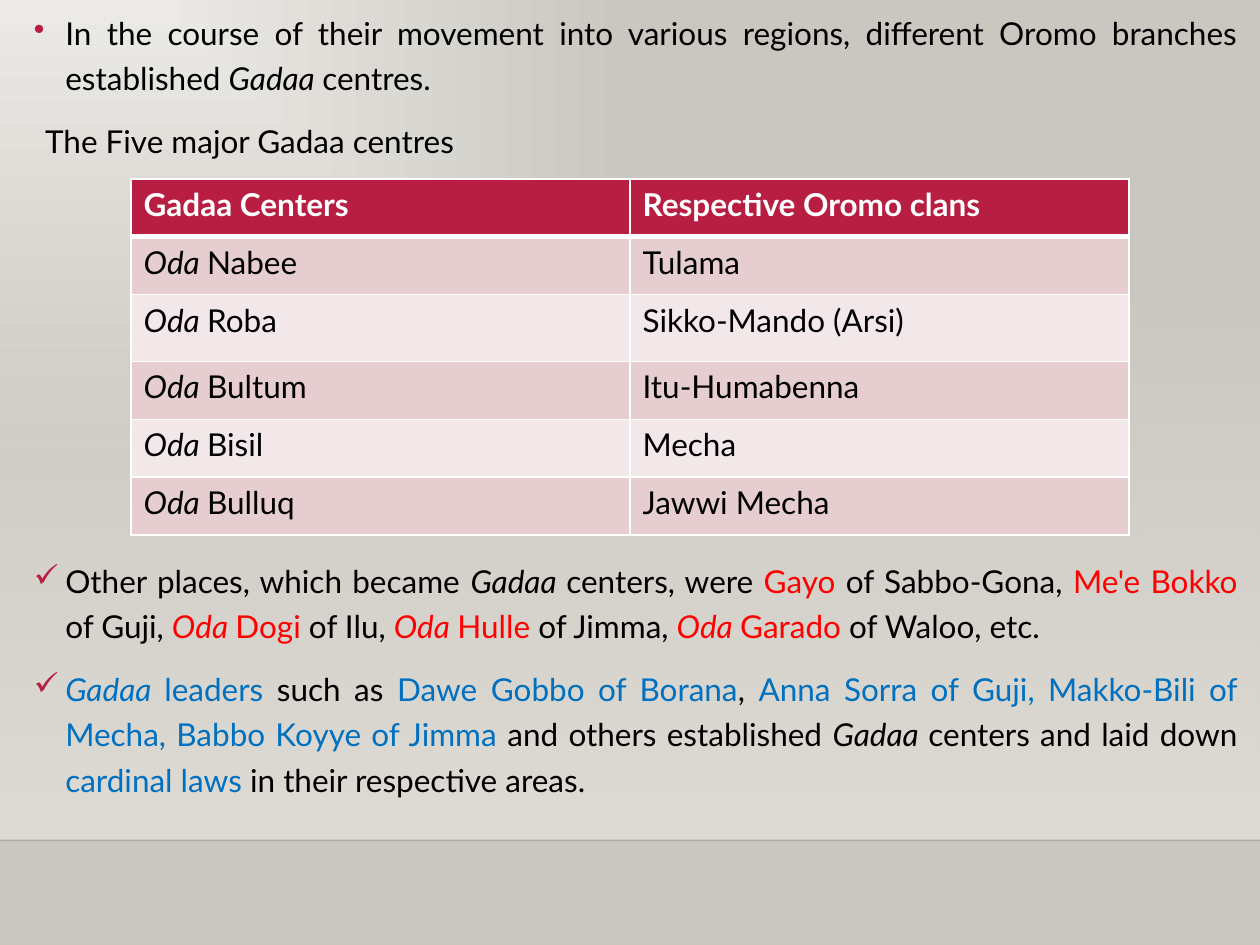
from dataclasses import dataclass

from lxml.etree import SubElement
from pptx import Presentation
from pptx.dml.color import RGBColor
from pptx.enum.shapes import MSO_CONNECTOR, MSO_SHAPE
from pptx.enum.text import PP_ALIGN
from pptx.oxml.ns import qn
from pptx.util import Inches, Pt


@dataclass(frozen=True)
class Theme:
    font: str = "Lato"
    size: int = 18
    accent: str = "B71E42"
    black: str = "000000"
    white: str = "FFFFFF"
    red: str = "FF0000"
    blue: str = "0070C0"
    bands: tuple = ("E6CDCF", "F3E8E9")
    glow: str = "ECEAE7"
    backdrop: str = "CAC7C1"
    panel: str = "DFDBD5"
    floor_line: str = "000001"


def child(parent, tag, **attributes):
    return SubElement(parent, qn(tag), attributes)


class Page:
    """One slide; every position and length is a percentage of its size."""

    def __init__(self, deck, theme):
        self.deck, self.theme = deck, theme
        self.slide = deck.slides.add_slide(deck.slide_layouts[6])

    def across(self, share):
        return round(self.deck.slide_width * share / 100)

    def down(self, share):
        return round(self.deck.slide_height * share / 100)

    def frame(self, left, top, width, height):
        return self.across(left), self.down(top), self.across(width), self.down(height)

    def gradient(self, fill, first, last):
        """Set a two-stop gradient and return its stops."""
        fill.gradient()
        for stop, color in zip(fill.gradient_stops, (first, last)):
            stop.color.rgb = RGBColor.from_string(color)
        fill.gradient_stops[0].position, fill.gradient_stops[1].position = 0, 1
        return fill.gradient_stops

    def background(self):
        """Let light spread from the top left corner."""
        self.gradient(self.slide.background.fill, self.theme.glow, self.theme.backdrop)
        gradient = next(self.slide.element.iter(qn("a:gradFill")))
        gradient.remove(gradient.find(qn("a:lin")))
        spread = child(gradient, "a:path", path="rect")
        child(spread, "a:fillToRect", r="100000", b="100000")

    def fading_panel(self, left, top, width, height):
        panel = self.slide.shapes.add_shape(
            MSO_SHAPE.RECTANGLE, *self.frame(left, top, width, height))
        panel.shadow.inherit = False
        panel.line.fill.background()
        self.gradient(panel.fill, self.theme.panel, self.theme.panel)
        panel.fill.gradient_angle = 270
        clear = next(panel._element.iter(qn("a:srgbClr")))
        child(clear, "a:alpha", val="0")

    def floor(self, top):
        line = self.slide.shapes.add_connector(
            MSO_CONNECTOR.STRAIGHT, 0, self.down(top), self.across(100), self.down(top))
        line.line.width = Pt(1)
        line.line.color.rgb = RGBColor.from_string(self.theme.floor_line)
        child(next(line._element.iter(qn("a:srgbClr"))), "a:alpha", val="20000")
        child(line._element.spPr, "a:effectLst")

    def spans(self, para, parts, color, bold=False):
        """Fill a paragraph from (text, style words) pairs."""
        for text, style in parts:
            span = para.add_run()
            span.text = text
            words = style.split()
            font = span.font
            font.name, font.size = self.theme.font, Pt(self.theme.size)
            font.bold, font.italic = bold, "italic" in words
            named = [word for word in words if word != "italic"]
            font.color.rgb = RGBColor.from_string(
                getattr(self.theme, named[0]) if named else color)

    def text(self, left, top, width, height, paragraphs):
        """Add justified paragraphs, each given as (bullet, spans)."""
        box = self.slide.shapes.add_textbox(*self.frame(left, top, width, height))
        box.text_frame.word_wrap = True
        for index, (bullet, parts) in enumerate(paragraphs):
            para = box.text_frame.add_paragraph() if index else box.text_frame.paragraphs[0]
            para.alignment, para.line_spacing = PP_ALIGN.JUSTIFY, 1.2
            para.space_before = Pt(10 if index else 0)
            self.indent(para, bullet)
            self.spans(para, parts, self.theme.black)

    def indent(self, para, bullet):
        properties = para._p.get_or_add_pPr()
        properties.set("marL", str(Inches(0.25 if bullet else 0.09)))
        properties.set("indent", str(Inches(-0.25 if bullet else 0)))
        if bullet:
            color = child(properties, "a:buClr")
            child(color, "a:srgbClr", val=self.theme.accent)
            child(properties, "a:buChar", char=bullet)

    def table(self, left, top, width, row_heights, rows):
        grid = self.slide.shapes.add_table(
            len(rows), len(rows[0]),
            *self.frame(left, top, width, sum(row_heights))).table
        grid.horz_banding = False
        for column in grid.columns:
            column.width = self.across(width / len(rows[0]))
        for index, (height, row) in enumerate(zip(row_heights, rows)):
            grid.rows[index].height = self.down(height)
            header = index == 0
            fill = self.theme.accent if header else self.theme.bands[(index - 1) % 2]
            color = self.theme.white if header else self.theme.black
            for cell, parts in zip(grid.rows[index].cells, row):
                self.spans(cell.text_frame.paragraphs[0], parts, color, header)
                self.borders(cell, top=3 if index == 1 else 1, bottom=3 if header else 1)
                cell.fill.solid()
                cell.fill.fore_color.rgb = RGBColor.from_string(fill)

    def borders(self, cell, top, bottom):
        properties = cell._tc.get_or_add_tcPr()
        for side, points in zip("LRTB", (1, 1, top, bottom)):
            edge = child(properties, f"a:ln{side}", w=str(Pt(points)))
            child(child(edge, "a:solidFill"), "a:srgbClr", val=self.theme.white)


INTRO = [
    ("•", [("In the course of their movement into various regions, different "
            "Oromo branches established ", ""), ("Gadaa ", "italic"), ("centres.", "")]),
    (None, [("The Five major Gadaa centres", "")]),
]

CENTERS = [("Nabee", "Tulama"), ("Roba", "Sikko-Mando (Arsi)"),
           ("Bultum", "Itu-Humabenna"), ("Bisil", "Mecha"), ("Bulluq", "Jawwi Mecha")]

NOTES = [
    ("✓", [("Other places, which became ", ""), ("Gadaa ", "italic"),
           ("centers, were ", ""), ("Gayo", "red"), (" of Sabbo-Gona, ", ""),
           ("Me'e Bokko ", "red"), ("of Guji, ", ""),
           ("Oda ", "red italic"), ("Dogi", "red"), (" of Ilu, ", ""),
           ("Oda ", "red italic"), ("Hulle ", "red"), ("of Jimma, ", ""),
           ("Oda ", "red italic"), ("Garado ", "red"), ("of Waloo, etc.", "")]),
    ("✓", [("Gadaa ", "blue italic"), ("leaders ", "blue"), ("such as ", ""),
           ("Dawe Gobbo of Borana", "blue"), (", ", ""),
           ("Anna Sorra of Guji, Makko-Bili of Mecha, Babbo Koyye of Jimma ", "blue"),
           ("and others established ", ""), ("Gadaa ", "italic"),
           ("centers and laid down ", ""), ("cardinal laws ", "blue"),
           ("in their respective areas.", "")]),
]


def main():
    deck = Presentation()
    deck.slide_width, deck.slide_height = Inches(10), Inches(7.5)
    page = Page(deck, Theme())
    floor_top, panel_top = 88.93, 29.33
    page.background()
    page.fading_panel(0, panel_top, 100, floor_top - panel_top)
    page.floor(floor_top)
    page.text(1.7, 0, 97.5, 18, INTRO)
    header = [[("Gadaa Centers", "")], [("Respective Oromo clans", "")]]
    body = [[[("Oda ", "italic"), (center, "")], [(clan, "")]] for center, clan in CENTERS]
    row, tall_row = 6.13, 7.07
    page.table(10.4, 18.93, 79.2, [row, row, tall_row, row, row, row], [header] + body)
    page.text(1.7, 58, 97.5, 28, NOTES)
    deck.save("out.pptx")


if __name__ == "__main__":
    main()
